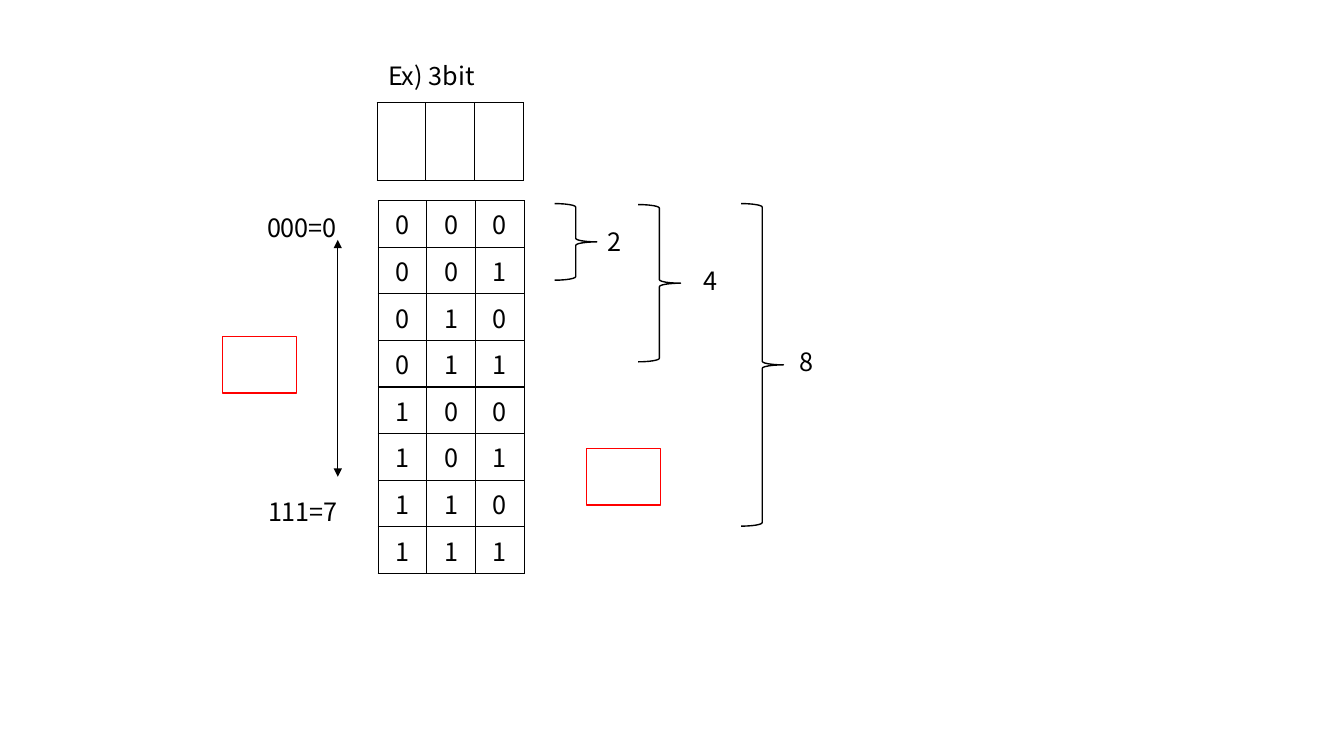
from dataclasses import dataclass
from itertools import product

from lxml.etree import SubElement
from pptx import Presentation
from pptx.dml.color import RGBColor
from pptx.enum.shapes import MSO_CONNECTOR, MSO_SHAPE
from pptx.enum.text import MSO_AUTO_SIZE, PP_ALIGN
from pptx.oxml.ns import qn
from pptx.util import Inches, Pt


@dataclass(frozen=True)
class Theme:
    ink: RGBColor = RGBColor(0, 0, 0)
    paper: RGBColor = RGBColor(255, 255, 255)
    accent: RGBColor = RGBColor(255, 0, 0)
    font: str = "Noto Sans CJK KR"
    text_size: Pt = Pt(18)
    line_width: Pt = Pt(1)


THEME = Theme()
TEXT_FORMAT = {"name": THEME.font, "size": THEME.text_size}
TABLE_FORMAT = {"first_row": False, "horz_banding": False}
FRAME_FORMAT = {"word_wrap": True, "auto_size": MSO_AUTO_SIZE.SHAPE_TO_FIT_TEXT}
BITS = 3
BIT_WIDTH = 1.45 / BITS


def apply_format(target, values):
    for name, value in values.items():
        setattr(target, name, value)


def write_text(paragraph, wording):
    run = paragraph.add_run()
    run.text = wording
    apply_format(run.font, TEXT_FORMAT)
    run.font.color.rgb = THEME.ink


def set_line(line, color):
    line.color.rgb = color
    line.width = THEME.line_width


def add_label(slide, wording, left, top, width):
    label = slide.shapes.add_textbox(Inches(left), Inches(top), Inches(width), Inches(0.4))
    apply_format(label.text_frame, FRAME_FORMAT)
    write_text(label.text_frame.paragraphs[0], wording)


def add_red_box(slide, left, top):
    box = slide.shapes.add_shape(
        MSO_SHAPE.RECTANGLE, Inches(left), Inches(top), Inches(0.73), Inches(0.56))
    box.shadow.inherit = False
    box.fill.solid()
    box.fill.fore_color.rgb = THEME.paper
    set_line(box.line, THEME.accent)


def add_brace(slide, left, top, height):
    brace = slide.shapes.add_shape(
        MSO_SHAPE.RIGHT_BRACE, Inches(left), Inches(top), Inches(0.42), Inches(height))
    brace.shadow.inherit = False
    brace.fill.background()
    set_line(brace.line, THEME.ink)


def add_range_arrow(slide, x, top, bottom):
    arrow = slide.shapes.add_connector(
        MSO_CONNECTOR.STRAIGHT, Inches(x), Inches(top), Inches(x), Inches(bottom))
    set_line(arrow.line, THEME.ink)
    properties = arrow.element.spPr
    outline = properties.find(qn("a:ln"))
    for end in ("a:headEnd", "a:tailEnd"):
        SubElement(outline, qn(end), type="triangle")
    SubElement(properties, qn("a:effectLst"))


def set_borders(cell):
    properties = cell._tc.get_or_add_tcPr()
    for side in ("a:lnL", "a:lnR", "a:lnT", "a:lnB"):
        border = SubElement(properties, qn(side), w=str(THEME.line_width))
        fill = SubElement(border, qn("a:solidFill"))
        SubElement(fill, qn("a:srgbClr"), val=str(THEME.ink))


def add_bit_table(slide, rows, left, top, row_height):
    table = slide.shapes.add_table(
        len(rows), BITS, Inches(left), Inches(top),
        Inches(BIT_WIDTH * BITS), Inches(row_height * len(rows))).table
    apply_format(table, TABLE_FORMAT)
    for column in table.columns:
        column.width = Inches(BIT_WIDTH)
    for row, bits in zip(table.rows, rows):
        row.height = Inches(row_height)
        for cell, bit in zip(row.cells, bits):
            set_borders(cell)
            cell.fill.background()
            if bit:
                paragraph = cell.text_frame.paragraphs[0]
                paragraph.alignment = PP_ALIGN.CENTER
                write_text(paragraph, bit)


def main():
    presentation = Presentation()
    presentation.slide_width = Inches(13.33)
    presentation.slide_height = Inches(7.5)
    slide = presentation.slides.add_slide(presentation.slide_layouts[6])

    for left, top in ((2.21, 3.34), (5.82, 4.45)):
        add_red_box(slide, left, top)

    add_bit_table(slide, list(product("01", repeat=BITS)), 3.75, 1.99, 0.41)
    add_bit_table(slide, [("",) * BITS], 3.74, 1.02, 0.77)

    counts = (
        ("2", 5.5, 2.02, 0.76, 5.93, 2.2),
        ("4", 6.33, 2.03, 1.56, 6.88, 2.58),
        ("8", 7.35, 2.02, 3.2, 7.83, 3.39),
    )
    for count, brace_left, brace_top, height, count_left, count_top in counts:
        add_brace(slide, brace_left, brace_top, height)
        add_label(slide, count, count_left, count_top, 0.34)

    add_range_arrow(slide, 3.35, 2.38, 4.73)
    add_label(slide, "000=0", 2.55, 2.06, 1.05)
    add_label(slide, "111=7", 2.56, 4.87, 1.05)
    add_label(slide, "Ex) 3bit", 3.75, 0.55, 1.15)

    presentation.save("out.pptx")


if __name__ == "__main__":
    main()
